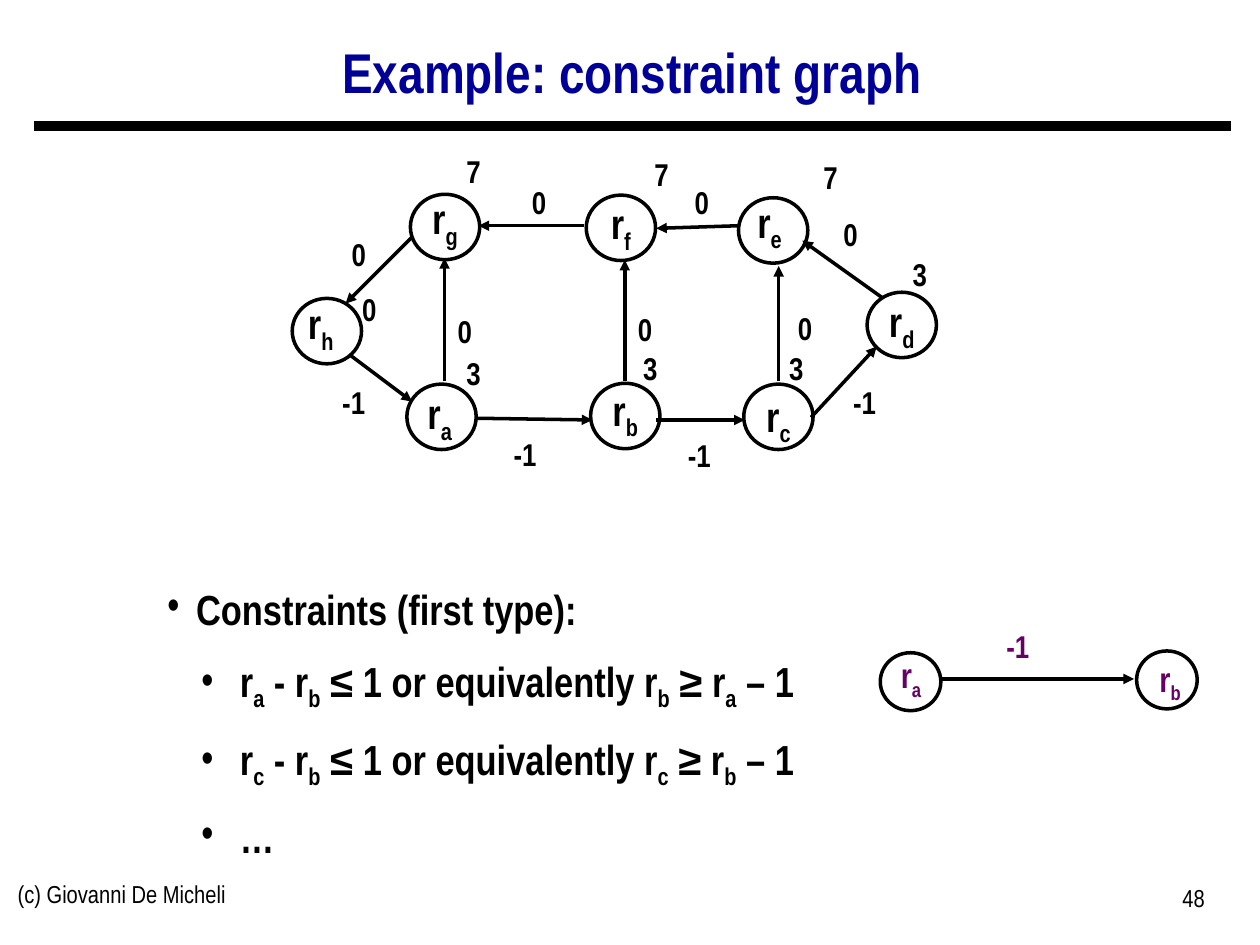
from lxml import etree
from pptx import Presentation
from pptx.dml.color import RGBColor
from pptx.enum.shapes import MSO_CONNECTOR, MSO_SHAPE
from pptx.enum.text import MSO_ANCHOR, PP_ALIGN
from pptx.oxml.ns import qn
from pptx.util import Pt

FONT = "Arial Narrow"
COLORS = {"ink": "000000", "title": "000099", "accent": "660066", "paper": "FFFFFF"}

# Graph parts, in points from the top left of the graph box
NODE_W, NODE_H = 39.6, 37.4
LABEL_W, LABEL_H = 43.2, 28.8
NODES = {  # name: (left, top, label shift x, label shift y, value, value left, value top)
    "a": (72.5, 139.5, -1, -1.5, "3", 89, 118.5),
    "b": (177.5, 139, 0, -3, "3", 190, 116),
    "c": (265, 139.5, 0, 0, "3", 273.5, 116),
    "d": (335.5, 87, 0, -1.5, "3", 344, 62),
    "e": (262, 33, -2, -4.5, "7", 293, 7),
    "f": (175, 31.5, 0, -2, "7", 196.5, 5),
    "g": (74.5, 31, 0, -4.5, "7", 89, 3.5),
    "h": (7, 90.5, -3.5, -4, "0", 29.5, 82),
}
EDGES = [  # start, end, weight, weight position
    ((94, 138), (94, 67.5), "0", (84, 95)),
    ((197, 138), (197, 68.5), "0", (187, 93.5)),
    ((285, 138), (285, 72), "0", (278.5, 93)),
    ((111.5, 159), (178.5, 160), "-1", (118.5, 165)),
    ((215, 160), (265.5, 160), "-1", (218, 165.5)),
    ((303.5, 158.5), (341, 118), "-1", (312.5, 135.5)),
    ((344, 90), (298.5, 57.5), "0", (304.5, 39.5)),
    ((262.5, 49), (215, 50.5), "0", (219.5, 21)),
    ((174, 49), (113.5, 49), "0", (126.5, 21)),
    ((75.5, 55.5), (37.5, 93.5), "0", (23.5, 51)),
    ((39.5, 122.5), (75.5, 149.5), "-1", (20.5, 135.5)),
]
CONSTRAINTS = [
    "r_a - r_b ≤ 1 or equivalently r_b ≥ r_a – 1",
    "r_c - r_b ≤ 1 or equivalently r_c ≥ r_b – 1",
    "…",
]


def color(name):
    return RGBColor.from_string(COLORS[name])


def write(paragraph, text, size, ink="ink", bold=True, align=PP_ALIGN.LEFT):
    """Write text; the letter after each underscore becomes a subscript."""
    first, *rest = text.split("_")
    pieces = [(first, False)]
    for part in rest:
        pieces += [(part[0], True), (part[1:], False)]
    for piece, lowered in pieces:
        if piece:
            run = paragraph.add_run()
            run.text = piece
            if lowered:
                run._r.get_or_add_rPr().set("baseline", "-25000")
    paragraph.alignment = align
    font = paragraph.font
    font.name, font.size, font.bold = FONT, Pt(size), bold
    font.color.rgb = color(ink)


def add_frame(slide, left, top, width, height):
    box = slide.shapes.add_textbox(Pt(left), Pt(top), Pt(width), Pt(height))
    box.text_frame.word_wrap = True
    return box.text_frame


def add_label(slide, left, top, width, height, text, size, ink="ink"):
    frame = add_frame(slide, left, top, width, height)
    write(frame.paragraphs[0], text, size, ink, align=PP_ALIGN.CENTER)


def add_line(slide, start, end, width=2, arrow=True):
    line = slide.shapes.add_connector(
        MSO_CONNECTOR.STRAIGHT, *(Pt(value) for value in (*start, *end)))
    line.line.color.rgb = color("ink")
    line.line.width = Pt(width)
    if arrow:
        etree.SubElement(line.line._get_or_add_ln(), qn("a:tailEnd"), type="triangle")
    etree.SubElement(line._element.spPr, qn("a:effectLst"))


def add_circle(slide, kind, left, top, width, height):
    shape = slide.shapes.add_shape(kind, Pt(left), Pt(top), Pt(width), Pt(height))
    shape.shadow.inherit = False
    shape.fill.solid()
    shape.fill.fore_color.rgb = color("paper")
    shape.line.color.rgb = color("ink")
    shape.line.width = Pt(2)


def add_bullet(paragraph, margin, indent):
    properties = paragraph._p.get_or_add_pPr()
    properties.set("marL", str(Pt(margin)))
    properties.set("indent", str(Pt(-indent)))
    etree.SubElement(properties, qn("a:buFont"), typeface=FONT)
    etree.SubElement(properties, qn("a:buChar"), char="•")


def add_title(slide, left, top, width, height):
    frame = add_frame(slide, left, top, width, height)
    frame.vertical_anchor = MSO_ANCHOR.MIDDLE
    paragraph = frame.paragraphs[0]
    paragraph.line_spacing = 0.9
    write(paragraph, "Example: constraint graph", 32, "title", align=PP_ALIGN.CENTER)
    # Rule under the title
    rule = top + height + 2
    add_line(slide, (left, rule), (left + width, rule), width=6, arrow=False)


def add_graph(slide, left, top):
    for x, y, *_ in NODES.values():
        add_circle(slide, MSO_SHAPE.FLOWCHART_CONNECTOR, left + x, top + y, NODE_W, NODE_H)
    # Arrows with their weights
    for start, end, weight, (x, y) in EDGES:
        add_line(slide, (left + start[0], top + start[1]), (left + end[0], top + end[1]))
        add_label(slide, left + x, top + y, LABEL_W, LABEL_H, weight, 18)
    # Node names and values
    name_width = 100.8
    for name, (x, y, shift_x, shift_y, value, value_x, value_y) in NODES.items():
        name_left = left + x + (NODE_W - name_width) / 2 + shift_x
        add_label(slide, name_left, top + y + shift_y, name_width, 36, f"r_{name}", 24)
        add_label(slide, left + value_x, top + value_y, LABEL_W, LABEL_H, value, 18)


def add_constraints(slide, left, top, width, height):
    frame = add_frame(slide, left, top, width, height)
    heading = frame.paragraphs[0]
    add_bullet(heading, 16.5, 16.5)
    write(heading, "Constraints (first type):", 24)
    for text in CONSTRAINTS:
        paragraph = frame.add_paragraph()
        paragraph.level = 1
        paragraph.space_before = Pt(12)
        add_bullet(paragraph, 41.5, 22)
        write(paragraph, text, 24)


def add_edge_example(slide, left, top):
    for x, y, name, name_x, name_y in [(0, 18, "r_a", -4, 15), (146.5, 17, "r_b", 144, 17)]:
        add_circle(slide, MSO_SHAPE.OVAL, left + x, top + y, 34.6, 33.1)
        add_label(slide, left + name_x, top + name_y, LABEL_W, 31, name, 20, "accent")
    add_label(slide, left + 57, top, LABEL_W, LABEL_H, "-1", 18, "accent")
    add_line(slide, (left + 34, top + 33), (left + 145, top + 33))


def add_footer(slide, left, top, width, height):
    credit = add_frame(slide, left, top, 228, height)
    write(credit.paragraphs[0], "(c) Giovanni De Micheli", 14, bold=False)
    number = add_frame(slide, left + width - 168, top + 2, 168, height)
    write(number.paragraphs[0], "48", 14, bold=False, align=PP_ALIGN.RIGHT)


def main():
    presentation = Presentation()
    presentation.slide_width, presentation.slide_height = Pt(720), Pt(540)
    slide = presentation.slides.add_slide(presentation.slide_layouts[6])
    add_title(slide, 19.4, 16, 684, 54)
    add_graph(slide, 160, 80)
    add_constraints(slide, 88.5, 330, 563, 165.5)
    add_edge_example(slide, 503, 355)
    add_footer(slide, 3, 499, 692.5, 37.5)
    presentation.save("out.pptx")


if __name__ == "__main__":
    main()
